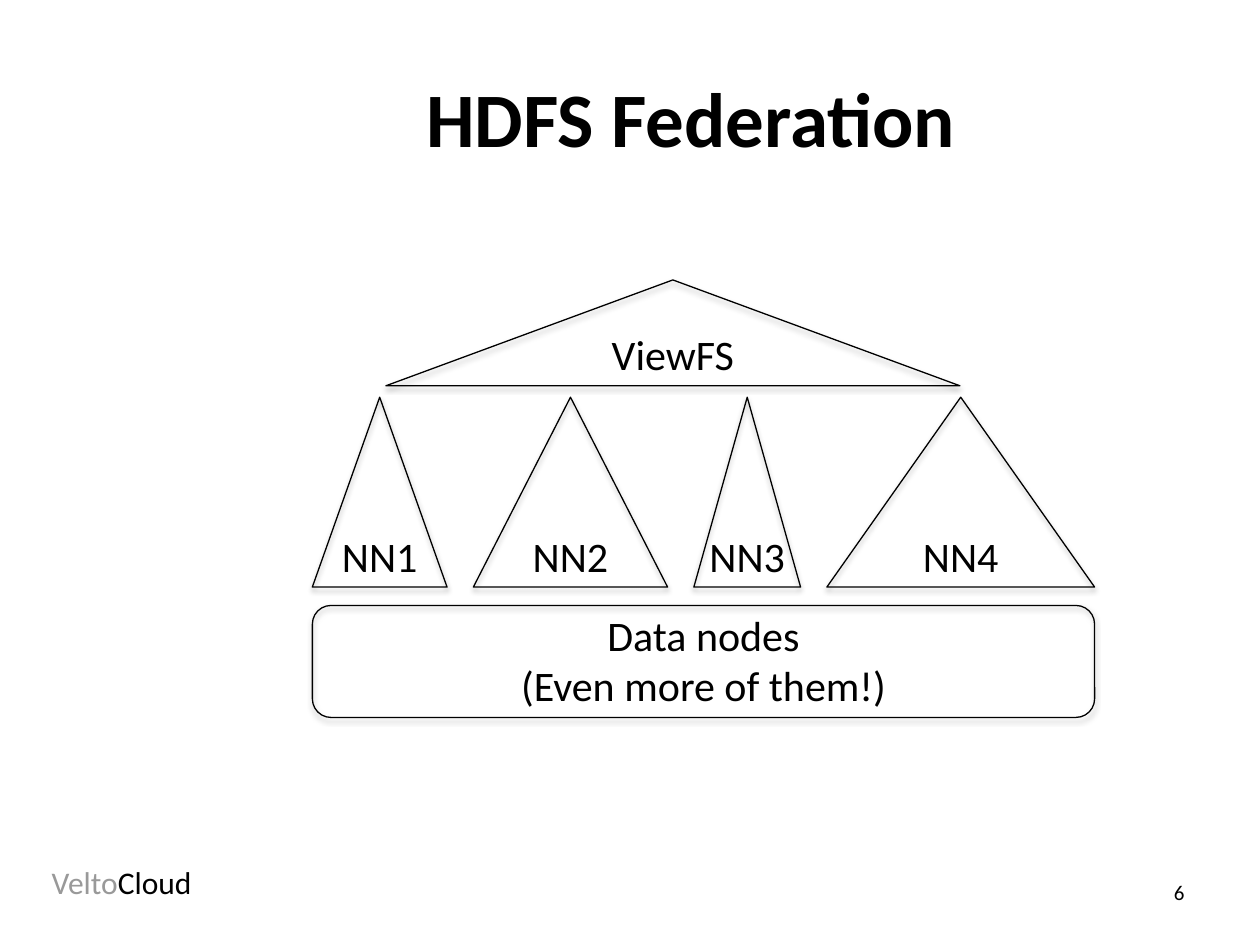
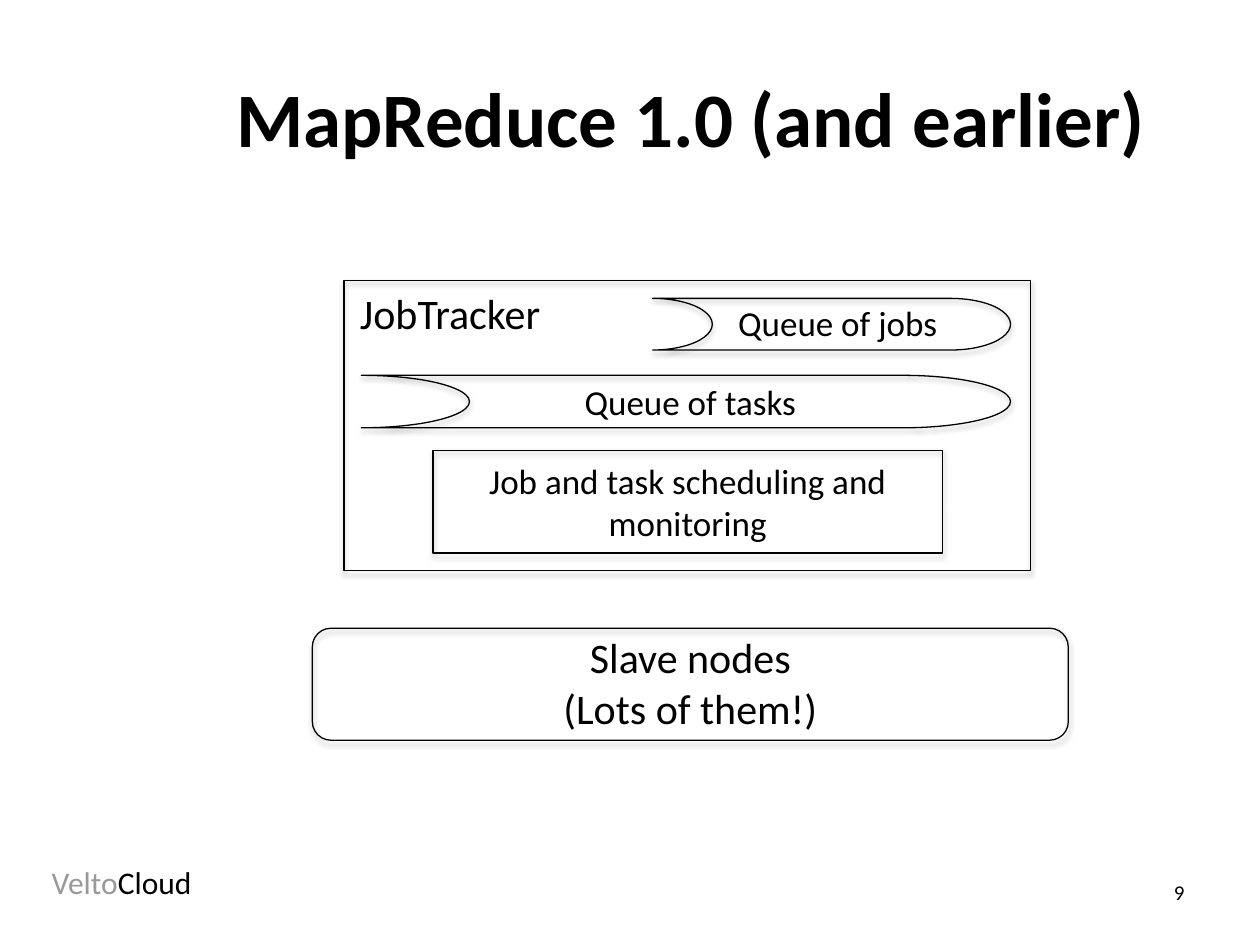
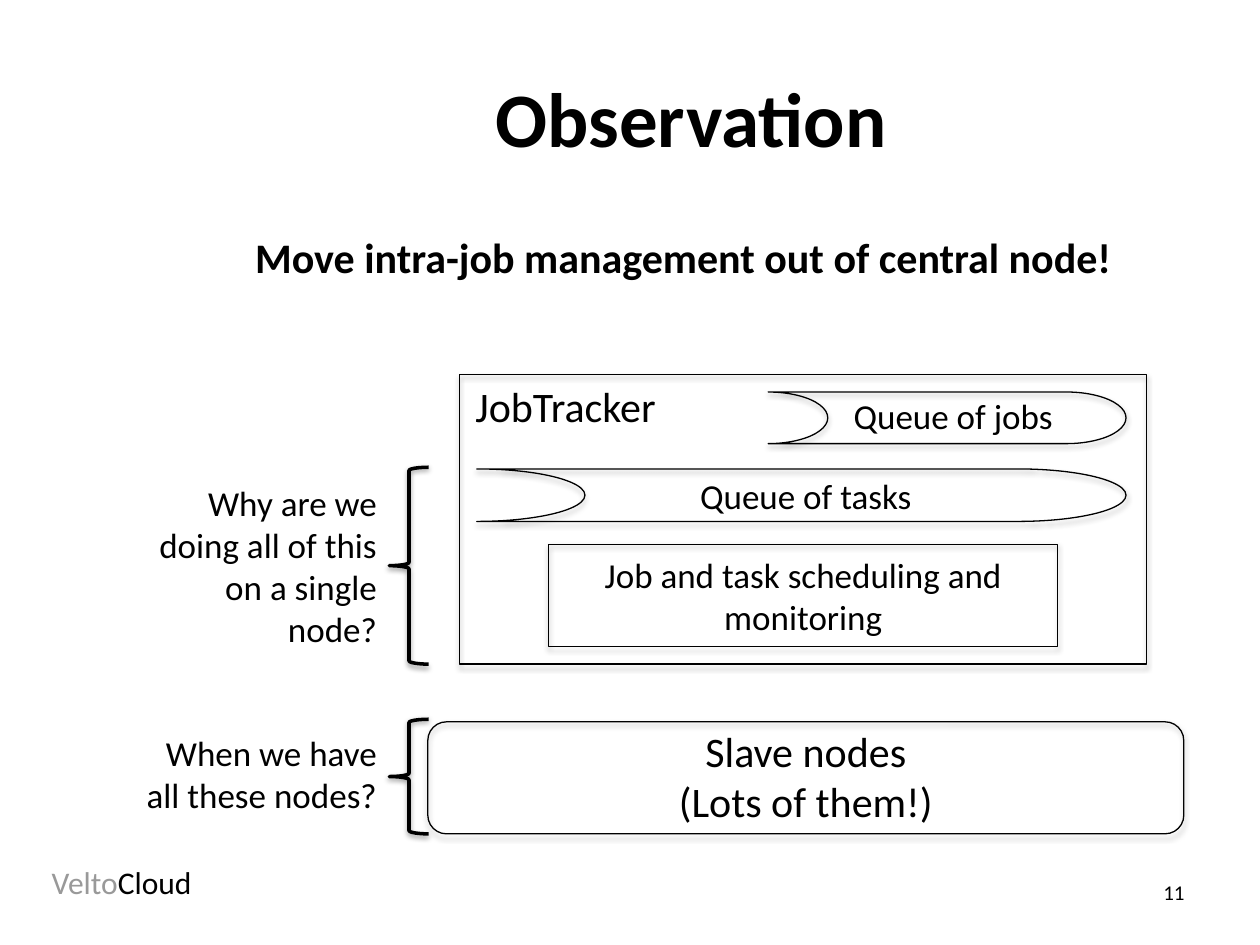
from lxml import etree
from pptx import Presentation
from pptx.dml.color import RGBColor
from pptx.enum.shapes import MSO_SHAPE
from pptx.enum.text import MSO_ANCHOR, MSO_AUTO_SIZE, PP_ALIGN
from pptx.oxml.ns import qn
from pptx.util import Pt

LEFT, CENTER, RIGHT = PP_ALIGN.LEFT, PP_ALIGN.CENTER, PP_ALIGN.RIGHT
TOP, MIDDLE = MSO_ANCHOR.TOP, MSO_ANCHOR.MIDDLE
FIT, FIXED = MSO_AUTO_SIZE.SHAPE_TO_FIT_TEXT, MSO_AUTO_SIZE.NONE
RECT, ROUND = MSO_SHAPE.RECTANGLE, MSO_SHAPE.ROUNDED_RECTANGLE
TRIANGLE, BRACE = MSO_SHAPE.ISOSCELES_TRIANGLE, MSO_SHAPE.LEFT_BRACE
QUEUE = MSO_SHAPE.FLOWCHART_STORED_DATA

FONT = "Calibri"
COLORS = {"ink": "000000", "muted": "999999"}
FOOTER = [("Velto", "muted"), ("Cloud", "ink")]

NAME_NODES = [("NN1", 77), ("NN2", 111), ("NN3", 61), ("NN4", 153)]
NODE_LEFT, NODE_TOP, NODE_HEIGHT, NODE_GAP = 178.5, 227, 108.5, 15
DATA_NODES = ["Data nodes", "(Even more of them!)"]
SLAVE_NODES = ["Slave nodes", "(Lots of them!)"]

TRACKER_SIZE = (392.5, 165.5)
TRACKER_QUEUES = [
    ("Queue of jobs", (176.5, 10, 204.5, 29.5), (217.5, 8, 129.5, 32)),
    ("Queue of tasks", (10, 54, 371, 30), (129.5, 53.5, 137, 32)),
]
SCHEDULING = ("Job and task scheduling and monitoring", (51, 97, 291, 58.5))

OBSERVATION = "Move intra-job management out of central node!"
QUESTIONS = [
    ("Why are we doing all of this on a single node?", (81.5, 271.5, 141, 104.5), (267, 112.5)),
    ("When we have all these nodes?", (69.5, 414.5, 153, 55.5), (411, 65.5)),
]
BRACE_LEFT, BRACE_WIDTH = 222.5, 22.5


def color(name):
    return RGBColor.from_string(COLORS[name])


def add_text(s, lines, box, size, align=CENTER, bold=False, wrap=False, anchor=TOP, fit=FIT):
    tf = s.shapes.add_textbox(*map(Pt, box)).text_frame
    tf.word_wrap = wrap
    tf.auto_size = fit
    tf.vertical_anchor = anchor
    for i, runs in enumerate(lines):
        p = tf.paragraphs[0] if i == 0 else tf.add_paragraph()
        p.alignment = align
        p.font.size, p.font.name, p.font.bold = Pt(size), FONT, bold
        for text, ink in [(runs, "ink")] if isinstance(runs, str) else runs:
            r = p.add_run()
            r.text = text
            r.font.color.rgb = color(ink)


def add_outline(s, kind, box, width=0.75, flip=False, alpha=35, dist=1.8):
    shape = s.shapes.add_shape(kind, *map(Pt, box))
    shape.fill.background()
    shape.line.color.rgb = color("ink")
    shape.line.width = Pt(width)
    shape.shadow.inherit = False
    spPr = shape.element.spPr
    if flip:
        spPr.find(qn("a:xfrm")).set("flipH", "1")
    shadow = etree.SubElement(spPr.find(qn("a:effectLst")), qn("a:outerShdw"),
                              blurRad=str(Pt(3.1)), dist=str(Pt(dist)),
                              dir="5400000", rotWithShape="0")
    ink = etree.SubElement(shadow, qn("a:srgbClr"), val=COLORS["ink"])
    etree.SubElement(ink, qn("a:alpha"), val=str(alpha * 1000))


def add_slide(prs, title, number):
    s = prs.slides.add_slide(prs.slide_layouts[6])
    add_text(s, [str(number)], (644.5, 499, 39.5, 21.5), 12, RIGHT, wrap=True)
    add_text(s, [FOOTER], (22.5, 489.5, 105, 29), 18, LEFT, wrap=True)
    add_text(s, [title], (106, 21.5, 578, 90), 44, bold=True, wrap=True, anchor=MIDDLE, fit=FIXED)
    return s


def add_node_pool(s, lines, x, y, width):
    add_outline(s, ROUND, (x, y, width, 64))
    add_text(s, lines, (x, y - 1.5, width, 65.5), 24)


def add_tracker(s, x, y):
    def place(box):
        left, top, width, height = box
        return x + left, y + top, width, height

    add_outline(s, RECT, (x, y, *TRACKER_SIZE))
    add_text(s, ["JobTracker"], (x, y, 121.5, 36), 24)
    for name, outline, label in TRACKER_QUEUES:
        add_outline(s, QUEUE, place(outline), flip=True)
        add_text(s, [name], place(label), 20)
    name, (left, top, width, height) = SCHEDULING
    add_outline(s, RECT, place((left, top, width, height)))
    add_text(s, [name], place((left, top + 1.5, width, height - 3)), 20, wrap=True)
    add_node_pool(s, SLAVE_NODES, x - 18, y + 198.5, 432)


def federation(prs):
    s = add_slide(prs, "HDFS Federation", 6)
    x = NODE_LEFT
    for name, width in NAME_NODES:
        add_outline(s, TRIANGLE, (x, NODE_TOP, width, NODE_HEIGHT))
        add_text(s, [name], (x + width / 2 - 29, NODE_TOP + NODE_HEIGHT - 36, 58, 36), 24)
        x += width + NODE_GAP
    add_node_pool(s, DATA_NODES, NODE_LEFT, 346, x - NODE_GAP - NODE_LEFT)
    add_outline(s, TRIANGLE, (220.5, 160, 328, 60.5))
    add_text(s, ["ViewFS"], (341.5, 184, 86, 36), 24)


def map_reduce(prs):
    s = add_slide(prs, "MapReduce 1.0 (and earlier)", 9)
    add_tracker(s, 196.5, 160.5)


def observation(prs):
    s = add_slide(prs, "Observation", 11)
    add_tracker(s, 262.5, 214)
    for question, box, (top, height) in QUESTIONS:
        add_outline(s, BRACE, (BRACE_LEFT, top, BRACE_WIDTH, height), 2, alpha=38, dist=1.6)
        add_text(s, [question], box, 20, RIGHT, wrap=True)
    add_text(s, [OBSERVATION], (105, 129, 571, 36), 24, bold=True, wrap=True)


def main():
    prs = Presentation()
    prs.slide_width, prs.slide_height = Pt(720), Pt(540)
    for build in (federation, map_reduce, observation):
        build(prs)
    prs.save("out.pptx")


if __name__ == "__main__":
    main()
